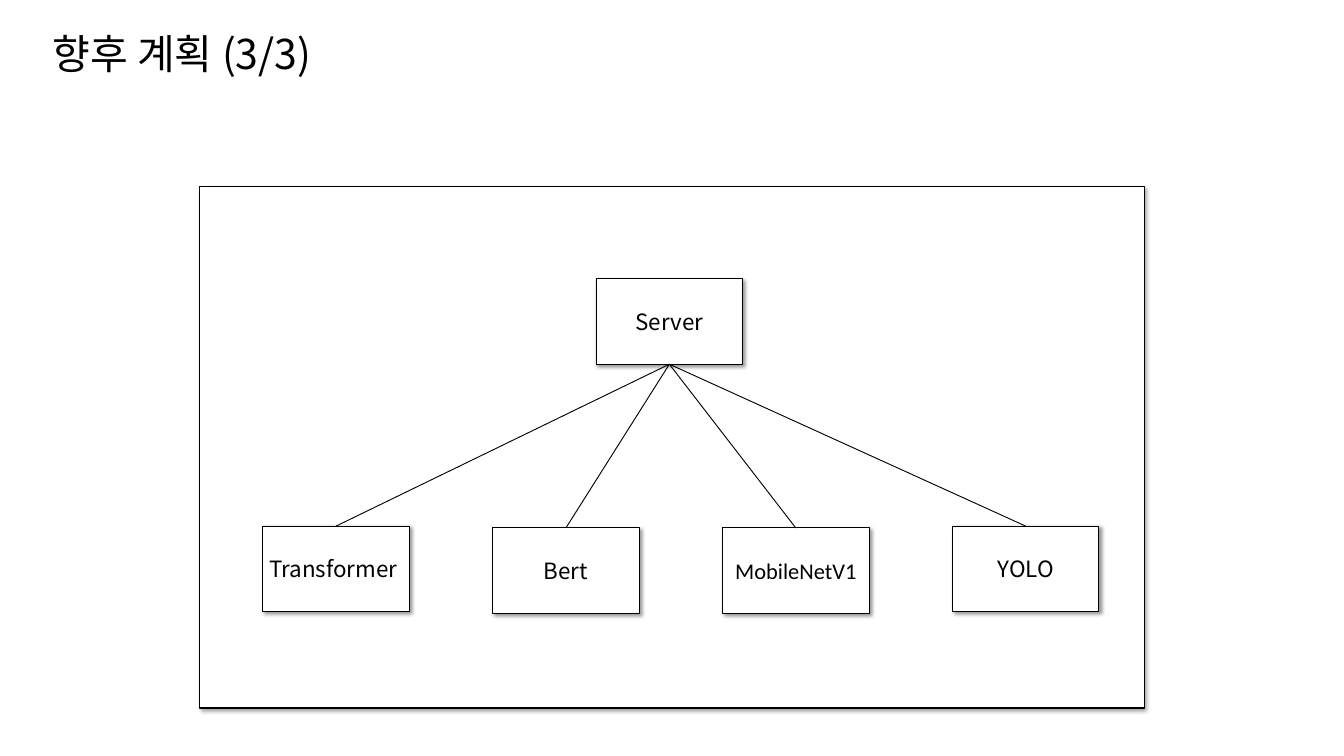
from dataclasses import dataclass

import lxml.etree
import pptx
import pptx.dml.color
import pptx.enum.shapes
import pptx.enum.text
import pptx.oxml.ns
import pptx.shapes.autoshape
import pptx.slide
import pptx.text.text
import pptx.util

Cm = pptx.util.Cm
Pt = pptx.util.Pt
qn = pptx.oxml.ns.qn
ALIGN = pptx.enum.text.PP_ALIGN


@dataclass(frozen=True)
class Theme:
    ink: pptx.dml.color.RGBColor = pptx.dml.color.RGBColor(0, 0, 0)
    paper: pptx.dml.color.RGBColor = pptx.dml.color.RGBColor(255, 255, 255)
    font: str = "Noto Sans CJK KR"
    latin_font: str = "Calibri"
    title_size: int = 44
    label_size: int = 24
    panel_line: float = 1.25
    line: float = 1


THEME = Theme()
BOX_WIDTH, BOX_HEIGHT = 5.54, 3.23
MODEL_LEFT, MODEL_STEP = 9.93, 8.69


@dataclass(frozen=True)
class Node:
    label: str
    top: float
    align: pptx.enum.text.PP_ALIGN = ALIGN.CENTER
    font: str = THEME.font


SERVER = Node("Server", 10.54)
MODELS = (
    Node("Transformer", 19.89, align=ALIGN.LEFT),
    Node("Bert", 19.96),
    Node("MobileNetV1", 19.96, font=THEME.latin_font),
    Node("YOLO", 19.89),
)


def write(p: pptx.text.text._Paragraph, text: str, size: float, font: str) -> None:
    p.text = text
    p.font.size = Pt(size)
    p.font.color.rgb = THEME.ink
    p.font.name = font
    props = p._p.pPr.find(qn("a:defRPr"))
    lxml.etree.SubElement(props, qn("a:ea"), typeface=font)


def add_shadow(sp: pptx.shapes.autoshape.Shape) -> None:
    sp.shadow.inherit = False
    effects = sp._element.spPr.find(qn("a:effectLst"))
    shadow = lxml.etree.SubElement(
        effects, qn("a:outerShdw"), blurRad=str(Pt(4)), dist=str(Pt(3)),
        dir="2700000", algn="tl", rotWithShape="0")
    color = lxml.etree.SubElement(shadow, qn("a:srgbClr"), val=str(THEME.ink))
    lxml.etree.SubElement(color, qn("a:alpha"), val="40000")


def add_box(s: pptx.slide.Slide, left: float, top: float, width: float,
            height: float, line: float) -> pptx.shapes.autoshape.Shape:
    sp = s.shapes.add_shape(pptx.enum.shapes.MSO_SHAPE.RECTANGLE,
                            Cm(left), Cm(top), Cm(width), Cm(height))
    sp.fill.solid()
    sp.fill.fore_color.rgb = THEME.paper
    sp.line.color.rgb = THEME.ink
    sp.line.width = Pt(line)
    add_shadow(sp)
    return sp


def add_node(s: pptx.slide.Slide, node: Node, left: float) -> pptx.shapes.autoshape.Shape:
    sp = add_box(s, left, node.top, BOX_WIDTH, BOX_HEIGHT, THEME.line)
    tf = sp.text_frame
    tf.word_wrap = True
    tf.vertical_anchor = pptx.enum.text.MSO_ANCHOR.MIDDLE
    p = tf.paragraphs[0]
    p.alignment = node.align
    write(p, node.label, THEME.label_size, node.font)
    return sp


def add_link(s: pptx.slide.Slide, parent: pptx.shapes.autoshape.Shape,
             child: pptx.shapes.autoshape.Shape) -> None:
    link = s.shapes.add_connector(pptx.enum.shapes.MSO_CONNECTOR.STRAIGHT, 0, 0, 0, 0)
    link.begin_connect(parent, 2)
    link.end_connect(child, 0)
    link.line.color.rgb = THEME.ink
    link.line.width = Pt(THEME.line)
    lxml.etree.SubElement(link._element.spPr, qn("a:effectLst"))


def add_title(s: pptx.slide.Slide, text: str) -> None:
    tf = s.shapes.add_textbox(Cm(1.73), Cm(0.97), Cm(34.82), Cm(2.13)).text_frame
    tf.word_wrap = True
    tf.auto_size = pptx.enum.text.MSO_AUTO_SIZE.SHAPE_TO_FIT_TEXT
    write(tf.paragraphs[0], text, THEME.title_size, THEME.font)


def main() -> None:
    prs = pptx.Presentation()
    prs.slide_width, prs.slide_height = Cm(50.8), Cm(28.58)
    s = prs.slides.add_slide(prs.slide_layouts[6])
    add_title(s, "향후 계획 (3/3)")
    add_box(s, 7.54, 7.06, 35.71, 19.71, THEME.panel_line)
    server = add_node(s, SERVER, 22.53)
    models = [add_node(s, node, MODEL_LEFT + i * MODEL_STEP)
              for i, node in enumerate(MODELS)]
    for model in models:
        add_link(s, server, model)
    prs.save("out.pptx")


if __name__ == "__main__":
    main()
